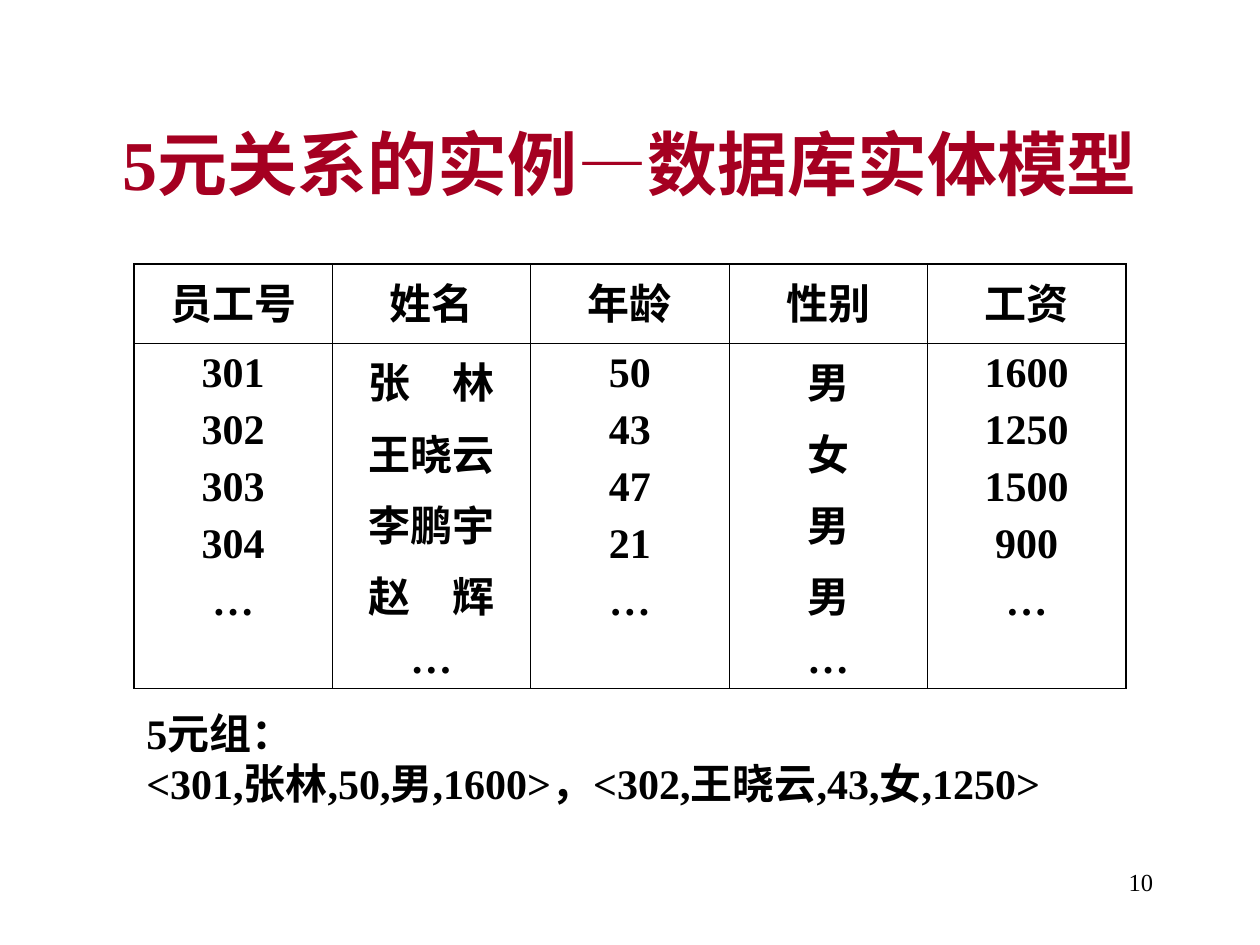
from lxml import etree
from pptx import Presentation
from pptx.dml.color import RGBColor
from pptx.enum.text import MSO_ANCHOR, PP_ALIGN
from pptx.oxml.ns import qn
from pptx.util import Pt

CENTER, RIGHT, LEFT = PP_ALIGN.CENTER, PP_ALIGN.RIGHT, PP_ALIGN.LEFT
MIDDLE = MSO_ANCHOR.MIDDLE
FONT = "Times New Roman"
BLACK, WHITE, CRIMSON = "000000", "FFFFFF", "A50021"
THIN, THICK = Pt(0.45), Pt(1.08)

COLUMNS = {
    "员工号": ["301", "302", "303", "304", "…"],
    "姓名": ["张　林", "王晓云", "李鹏宇", "赵　辉", "…"],
    "年龄": ["50", "43", "47", "21", "…"],
    "性别": ["男", "女", "男", "男", "…"],
    "工资": ["1600", "1250", "1500", "900", "…"],
}


def write(text_frame, text, size, alignment, bold=True, color=BLACK, space_before=0):
    text_frame.text = text
    for paragraph in text_frame.paragraphs:
        paragraph.alignment = alignment
        paragraph.space_before = Pt(space_before)
        for run in paragraph.runs:
            run.font.name = FONT
            run.font.size = Pt(size)
            run.font.bold = bold
            run.font.color.rgb = RGBColor.from_string(color)


def add_border(cell, side, width):
    """Draw one black cell edge; side is L, R, T or B."""
    line = etree.SubElement(cell._tc.get_or_add_tcPr(), qn(f"a:ln{side}"), w=str(int(width)))
    fill = etree.SubElement(line, qn("a:solidFill"))
    etree.SubElement(fill, qn("a:srgbClr"), val=BLACK)


presentation = Presentation()
presentation.slide_width, presentation.slide_height = Pt(720), Pt(540)
slide = presentation.slides.add_slide(presentation.slide_layouts[5])

title = slide.shapes.title
title.left, title.top, title.width, title.height = Pt(54), Pt(48), Pt(612), Pt(90)
write(title.text_frame, "5元关系的实例—数据库实体模型", 40, CENTER, color=CRIMSON)
title.text_frame.vertical_anchor = MIDDLE

# Employee table: one heading row, one row holding each column's values
table_shape = slide.shapes.add_table(
    2, len(COLUMNS), Pt(76.5), Pt(151), Pt(566.9), Pt(221))
table = table_shape.table
table.rows[0].height, table.rows[1].height = Pt(45.4), Pt(175.6)
last_column = len(COLUMNS) - 1
for column, (heading, values) in enumerate(COLUMNS.items()):
    table.columns[column].width = Pt(113.38)
    for row, text in enumerate([heading, "\n".join(values)]):
        cell = table.cell(row, column)
        write(cell.text_frame, text, 24, CENTER, space_before=6)
        add_border(cell, "L", THICK if column == 0 else THIN)
        add_border(cell, "R", THICK if column == last_column else THIN)
        add_border(cell, "T", THICK if row == 0 else THIN)
        add_border(cell, "B", THICK if row == 1 else THIN)
        cell.fill.solid()
        cell.fill.fore_color.rgb = RGBColor.from_string(WHITE)

tuples = slide.shapes.add_textbox(Pt(76.5), Pt(400.5), Pt(578), Pt(93.6))
tuples.text_frame.word_wrap = True
write(tuples.text_frame, "5元组：\n<301,张林,50,男,1600>，<302,王晓云,43,女,1250>", 24, LEFT)

page_number = slide.shapes.add_textbox(Pt(516), Pt(492), Pt(150), Pt(36))
page_number.text_frame.word_wrap = True
write(page_number.text_frame, "10", 14, RIGHT, bold=False)

presentation.save("out.pptx")
